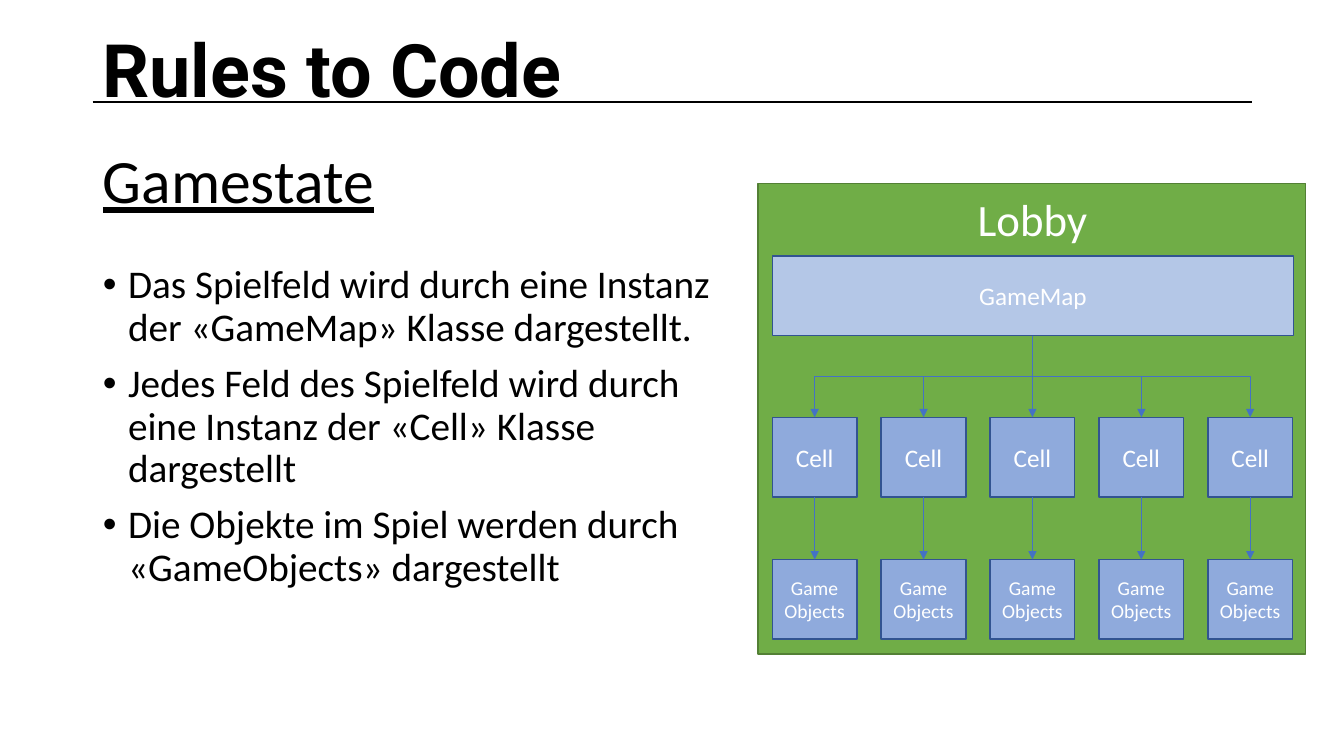
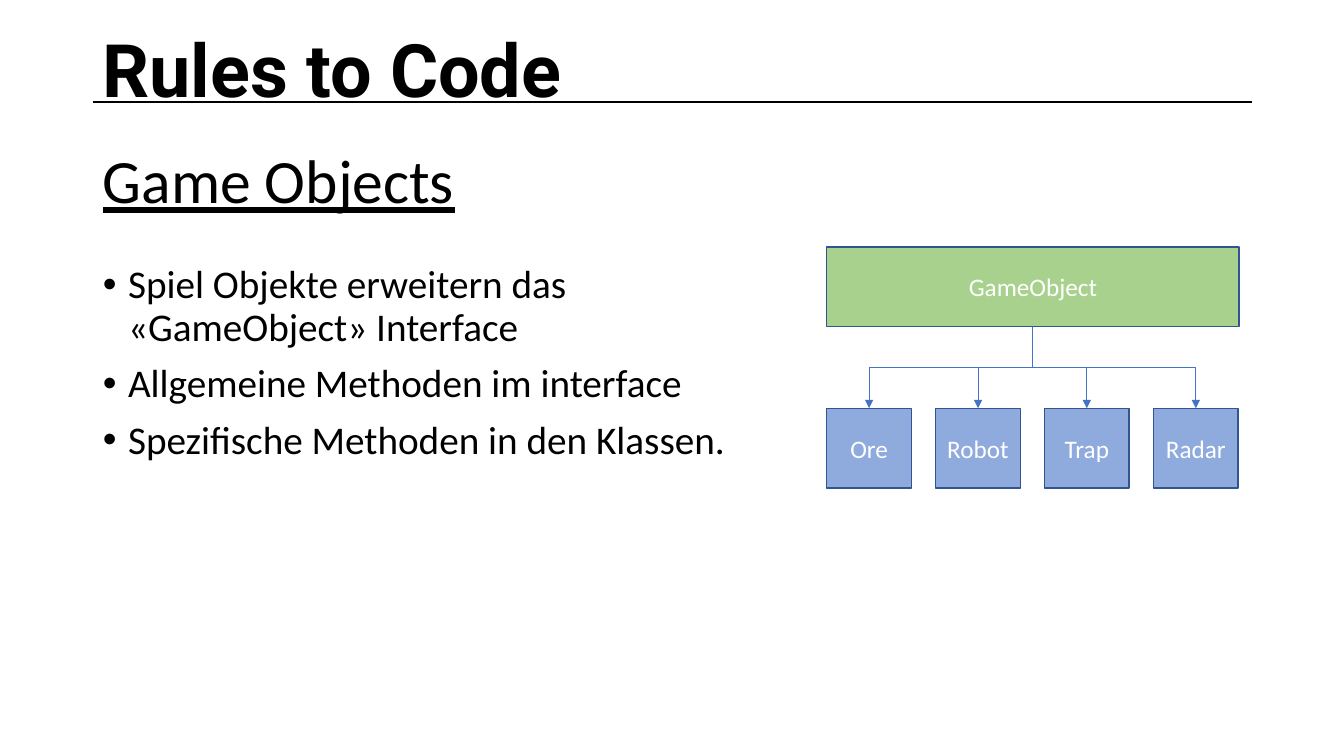
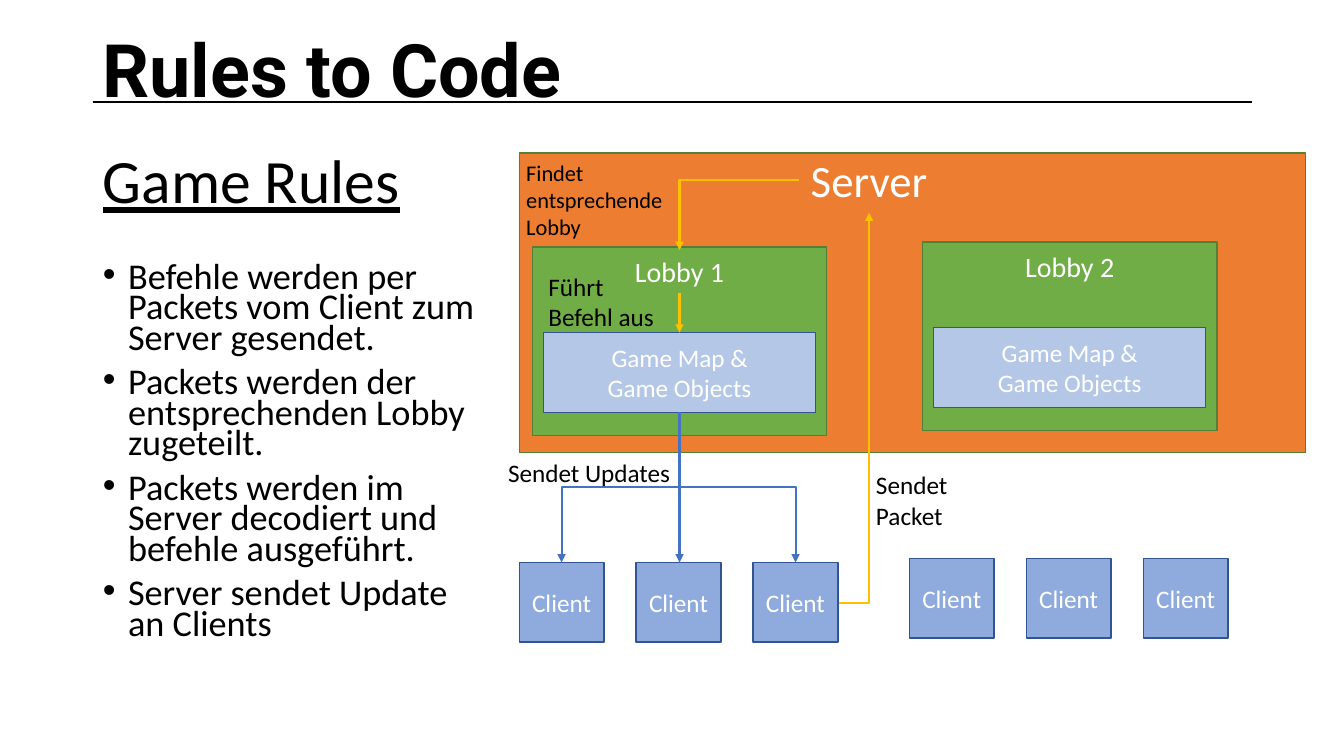
from lxml.etree import SubElement
from pptx import Presentation
from pptx.dml.color import RGBColor
from pptx.enum.shapes import MSO_CONNECTOR as Connector, MSO_SHAPE as Shape
from pptx.enum.text import MSO_ANCHOR as Anchor, MSO_AUTO_SIZE as AutoSize, PP_ALIGN as Align
from pptx.oxml.ns import qn
from pptx.util import Inches, Pt

BLACK, WHITE = "000000", "FFFFFF"
GREEN, LIGHT_GREEN, DARK_GREEN = "70AD47", "A9D18E", "538035"
BLUE, PALE_BLUE, MID_BLUE, DARK_BLUE = "4472C4", "B4C7E7", "8FAADC", "325491"
ORANGE, YELLOW = "ED7D31", "FFC000"
CELL_WIDTH, CELL_HEIGHT = 0.84, 0.79


def color(value):
    """Turn a hex string into a colour."""
    return RGBColor.from_string(value)


def set_formats(target, formats):
    """Set every attribute named in a dict of format values."""
    for name, value in formats.items():
        setattr(target, name, value)


class Deck:
    """Holds the shared style and the slide being built."""

    def __init__(self):
        """Start an empty widescreen presentation."""
        self.presentation = Presentation()
        set_formats(self.presentation, {"slide_width": Inches(13.33), "slide_height": Inches(7.5)})
        self.slide = None

    def set_text(self, shape, lines, size, ink=BLACK, font=None, paragraph=None, frame=None):
        """Fill a shape with one formatted paragraph per line."""
        text_frame = shape.text_frame
        set_formats(text_frame, {"word_wrap": True, "auto_size": AutoSize.NONE, **(frame or {})})
        text_frame.text = "\n".join(lines)
        for item in text_frame.paragraphs:
            set_formats(item, paragraph or {})
            for run in item.runs:
                set_formats(run.font, {"name": "Calibri", "size": Pt(size), **(font or {})})
                run.font.color.rgb = color(ink)

    def place(self, shape, left, top, width, height):
        """Move and size a shape."""
        set_formats(shape, {"left": Inches(left), "top": Inches(top),
                            "width": Inches(width), "height": Inches(height)})

    def start(self, topic, points, body_width=6.5, size=28, spacing=0.9):
        """Add a slide with its header, topic and bullet list."""
        self.slide = self.presentation.slides.add_slide(self.presentation.slide_layouts[1])
        title, body = self.slide.placeholders
        self.place(title, 0.92, 1.43, 11.5, 0.79)
        self.set_text(title, [topic], 44, font={"underline": True},
                      paragraph={"alignment": Align.LEFT, "line_spacing": 0.9},
                      frame={"vertical_anchor": Anchor.MIDDLE})
        self.place(body, 0.92, 2.58, body_width, 4.18)
        self.set_text(body, points, size,
                      paragraph={"line_spacing": spacing, "space_before": Pt(10)})
        for paragraph in body.text_frame.paragraphs:
            properties = paragraph._p.get_or_add_pPr()
            properties.set("marL", str(Inches(0.25)))
            properties.set("indent", str(Inches(-0.25)))
            SubElement(properties, qn("a:buFont")).set("typeface", "Arial")
            SubElement(properties, qn("a:buChar")).set("char", "•")
        self.line((0.92, 1.01), (12.42, 1.01), BLACK, 1.5, arrow=False)
        self.label(["Rules to Code"], 0.92, 0.33, 10, 0.86, 52.6,
                   font={"name": "Roboto", "bold": True}, paragraph={"line_spacing": 0.8},
                   frame={"vertical_anchor": Anchor.MIDDLE})

    def label(self, lines, left, top, width, height, size=18, **style):
        """Add a text box."""
        box = self.slide.shapes.add_textbox(*map(Inches, (left, top, width, height)))
        self.set_text(box, lines, size, **style)

    def heading(self, text, left, top, height, size):
        """Add a centred white name inside a panel."""
        self.label([text], left, top, 1.4, height, size, ink=WHITE,
                   paragraph={"alignment": Align.CENTER})

    def box(self, left, top, width, height, fill, lines=(), outline=DARK_BLUE, size=18):
        """Add a filled rectangle with centred white text."""
        shape = self.slide.shapes.add_shape(
            Shape.RECTANGLE, *map(Inches, (left, top, width, height)))
        shape.shadow.inherit = False
        shape.fill.solid()
        shape.fill.fore_color.rgb = color(fill)
        shape.line.color.rgb = color(outline)
        shape.line.width = Pt(1)
        if lines:
            self.set_text(shape, lines, size, WHITE, paragraph={"alignment": Align.CENTER},
                          frame={"vertical_anchor": Anchor.MIDDLE})

    def row(self, left, top, pitch, texts, size=18):
        """Add evenly spaced cells and return their centres."""
        lefts = [left + index * pitch for index in range(len(texts))]
        for cell_left, lines in zip(lefts, texts):
            self.box(cell_left, top, CELL_WIDTH, CELL_HEIGHT, MID_BLUE, lines, size=size)
        return [cell_left + CELL_WIDTH / 2 for cell_left in lefts]

    def line(self, start, end, ink=BLUE, width=0.5, arrow=True, kind=Connector.STRAIGHT):
        """Add a connector, with an arrowhead at its end if wanted."""
        connector = self.slide.shapes.add_connector(kind, *map(Inches, (*start, *end)))
        connector.line.color.rgb = color(ink)
        connector.line.width = Pt(width)
        properties = connector._element.spPr
        if arrow:
            SubElement(properties.find(qn("a:ln")), qn("a:tailEnd")).set("type", "triangle")
        SubElement(properties, qn("a:effectLst"))
        return properties

    def corner(self, start, end, ink, width):
        """Add an arrow that runs sideways, then turns once."""
        properties = self.line(start, end, ink, width, kind=Connector.ELBOW)
        properties.find(qn("a:prstGeom")).set("prst", "bentConnector2")

    def branch(self, start, ends, top, width=0.5):
        """Add arrows that drop from one point and fan out to several."""
        x, y = start
        drop = top - y
        for end in ends:
            shift = end - x
            if abs(shift) < 0.02:
                self.line(start, (x, top), width=width)
                continue
            middle_x, middle_y = (x + end) / 2, (y + top) / 2
            half = drop / 2 if shift < 0 else -drop / 2
            rise = abs(shift) / 2
            properties = self.line((middle_x - half, middle_y - rise),
                                   (middle_x + half, middle_y + rise),
                                   width=width, kind=Connector.ELBOW)
            degrees = 90 if shift < 0 else 270
            properties.find(qn("a:xfrm")).set("rot", str(degrees * 60000))

    def lobby(self, left, top, name):
        """Add a lobby panel with its game map."""
        self.box(left, top, 2.92, 1.87, GREEN, outline=DARK_GREEN)
        self.box(left + 0.11, top + 0.85, 2.7, CELL_HEIGHT, PALE_BLUE,
                 ["Game Map &", "Game Objects"])
        self.heading(name, left + 0.76, top + 0.03, 0.44, 20)


def gamestate(deck):
    """Build the slide on the game state."""
    deck.start("Gamestate", [
        "Das Spielfeld wird durch eine Instanz der «GameMap» Klasse dargestellt.",
        "Jedes Feld des Spielfeld wird durch eine Instanz der «Cell» Klasse dargestellt",
        "Die Objekte im Spiel werden durch «GameObjects» dargestellt"])
    deck.box(7.52, 1.82, 5.43, 4.67, GREEN, outline=DARK_GREEN)
    deck.heading("Lobby", 9.54, 1.85, 0.64, 32)
    deck.box(7.66, 2.54, 5.17, CELL_HEIGHT, PALE_BLUE, ["GameMap"])
    centres = deck.row(7.66, 4.14, 1.08, [["Cell"]] * 5)
    deck.row(7.66, 5.55, 1.08, [["Game", "Objects"]] * 5, size=14)
    deck.branch((10.24, 3.33), centres, 4.14)
    for centre in centres:
        deck.line((centre, 4.93), (centre, 5.55))


def game_objects(deck):
    """Build the slide on the game objects."""
    deck.start("Game Objects", [
        "Spiel Objekte erweitern das «GameObject» Interface",
        "Allgemeine Methoden im interface",
        "Spezifische Methoden in den Klassen."])
    deck.box(8.2, 2.45, 4.09, CELL_HEIGHT, LIGHT_GREEN, ["GameObject"])
    centres = deck.row(8.2, 4.05, 1.08, [["Ore"], ["Robot"], ["Trap"], ["Radar"]])
    deck.branch((10.24, 3.24), centres, 4.05)


def game_rules(deck):
    """Build the slide on the game rules."""
    deck.start("Game Rules", [
        "Befehle werden per Packets vom Client zum Server gesendet.",
        "Packets werden der entsprechenden Lobby zugeteilt.",
        "Packets werden im Server decodiert und befehle ausgeführt.",
        "Server sendet Update an Clients"], body_width=4, size=25.9, spacing=0.7)
    deck.box(5.15, 1.52, 7.8, 2.97, ORANGE, outline=DARK_GREEN)
    deck.heading("Server", 7.92, 1.47, 0.64, 32)
    deck.lobby(5.28, 2.45, "Lobby 1")
    deck.lobby(9.15, 2.4, "Lobby 2")
    clients = [["Client"]] * 3
    centres = deck.row(5.15, 5.58, 1.16, clients)
    deck.row(9.02, 5.54, 1.16, clients)
    deck.branch((6.74, 4.09), centres, 5.58, width=1.5)
    deck.corner((8.32, 5.98), (8.62, 2.11), YELLOW, 1.5)
    deck.corner((7.92, 1.79), (6.74, 2.48), YELLOW, 1.5)
    deck.line((6.74, 2.91), (6.74, 3.3), YELLOW, 1.5)
    deck.label(["Sendet Packet"], 8.59, 4.61, 0.96, 0.71)
    deck.label(["Findet", "entsprechende", "Lobby"], 5.12, 1.53, 1.62, 0.91, 16)
    deck.label(["Führt Befehl aus"], 5.34, 2.64, 1.39, 0.71)
    deck.label(["Sendet Updates"], 4.94, 4.49, 2.09, 0.4)


def main():
    """Build the three slides and save them."""
    deck = Deck()
    for build in (gamestate, game_objects, game_rules):
        build(deck)
    deck.presentation.save("out.pptx")


if __name__ == "__main__":
    main()
